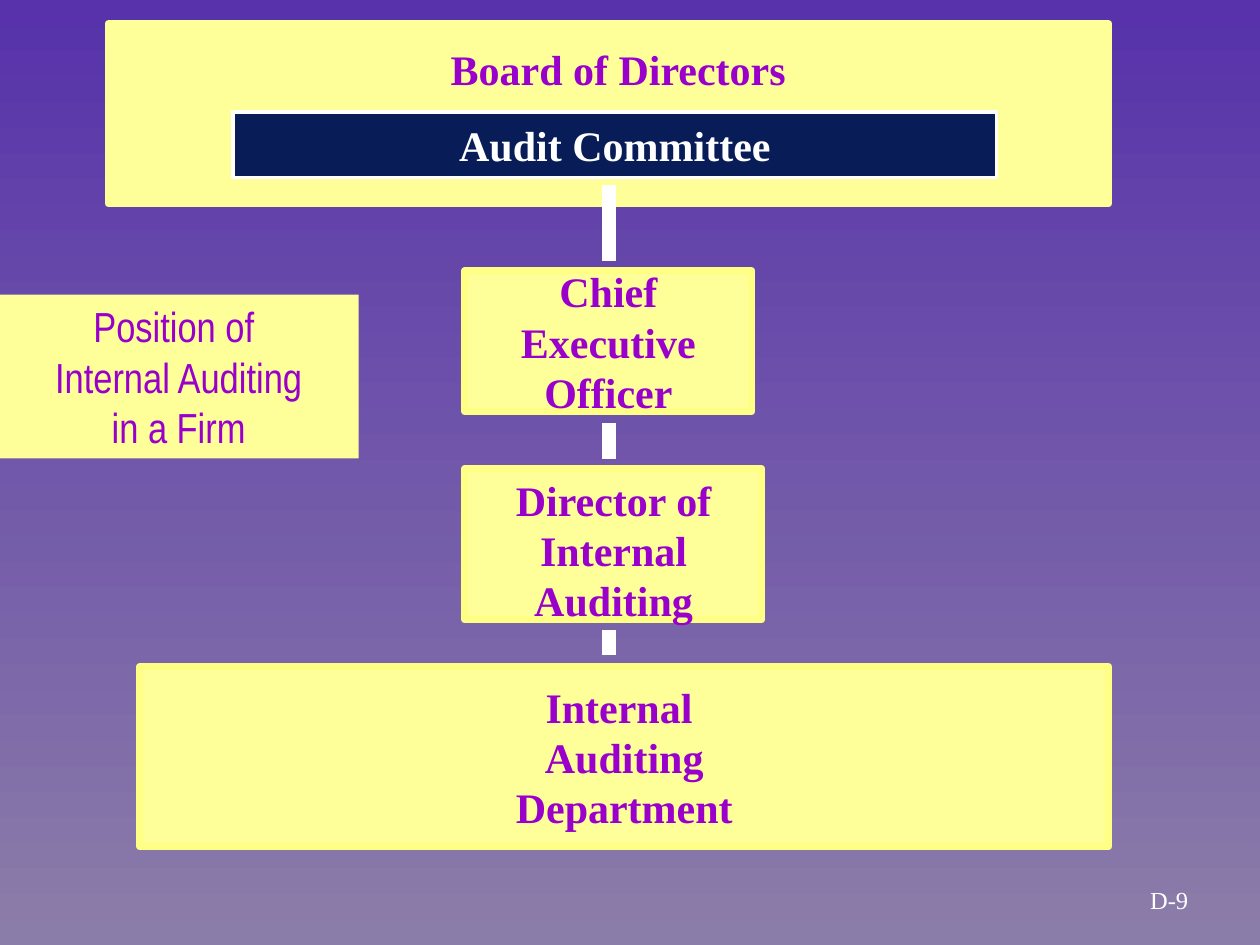
from lxml import etree
from pptx import Presentation
from pptx.dml.color import RGBColor
from pptx.enum.shapes import MSO_CONNECTOR, MSO_SHAPE
from pptx.enum.text import MSO_ANCHOR, MSO_AUTO_SIZE, PP_ALIGN
from pptx.oxml.ns import qn
from pptx.util import Cm, Pt

RECTANGLE = MSO_SHAPE.RECTANGLE
STRAIGHT = MSO_CONNECTOR.STRAIGHT
MIDDLE = MSO_ANCHOR.MIDDLE
CENTER = PP_ALIGN.CENTER
NO_AUTOFIT = MSO_AUTO_SIZE.NONE

YELLOW = "FFFF99"
EDGE = "FFFF85"
PURPLE = "9900CC"
WHITE = "FFFFFF"
NAVY = "081D58"
SERIF = "Times New Roman"
CHAIN_X = 12.27


def color(hex_value):
    return RGBColor.from_string(hex_value)


def set_background(s, top, bottom):
    fill = s.background.fill
    fill.gradient()
    fill.gradient_angle = 270
    for stop, position, shade in zip(fill.gradient_stops, (0, 1), (top, bottom)):
        stop.position = position
        stop.color.rgb = color(shade)


def write(sp, lines, shade=PURPLE, size=24, font=SERIF, bold=True):
    tf = sp.text_frame
    tf.auto_size = NO_AUTOFIT
    tf.word_wrap = False
    tf.vertical_anchor = MIDDLE
    for i, line in enumerate(lines):
        p = tf.add_paragraph() if i else tf.paragraphs[0]
        p.alignment = CENTER
        r = p.add_run()
        r.text = line
        r.font.name = font
        r.font.size = Pt(size)
        r.font.bold = bold
        r.font.color.rgb = color(shade)


def add_title(s, box, lines):
    sp = s.shapes.title
    sp.left, sp.top, sp.width, sp.height = map(Cm, box)
    sp.fill.solid()
    sp.fill.fore_color.rgb = color(YELLOW)
    write(sp, lines, font="Arial Narrow", bold=False)


def add_box(s, box, lines=(), fill=YELLOW, edge=EDGE, width=4, shade=PURPLE):
    sp = s.shapes.add_shape(RECTANGLE, *map(Cm, box))
    sp.shadow.inherit = False
    sp.fill.solid()
    sp.fill.fore_color.rgb = color(fill)
    sp.line.color.rgb = color(edge)
    sp.line.width = Pt(width)
    write(sp, lines, shade)


def add_label(s, box, lines, **style):
    write(s.shapes.add_textbox(*map(Cm, box)), lines, **style)


def add_link(s, top, bottom):
    line = s.shapes.add_connector(STRAIGHT, Cm(CHAIN_X), Cm(top), Cm(CHAIN_X), Cm(bottom))
    line.line.color.rgb = color(WHITE)
    line.line.width = Pt(8)
    etree.SubElement(line._element.spPr, qn("a:effectLst"))


def main():
    prs = Presentation()
    prs.slide_width, prs.slide_height = Cm(25.4), Cm(19.05)
    s = prs.slides.add_slide(prs.slide_layouts[5])
    set_background(s, "5732AA", "8B7DA9")
    add_title(s, (-0.03, 5.94, 7.26, 3.3), ["Position of ", "Internal Auditing", "in a Firm"])

    add_box(s, (2.18, 0.48, 20.17, 3.63), edge=YELLOW)
    add_label(s, (8.84, 0.76, 7.25, 1.27), ["Board of Directors"])
    add_box(s, (4.7, 2.26, 15.39, 1.32), ["Audit Committee"], NAVY, WHITE, 2, WHITE)
    add_box(s, (9.37, 5.46, 5.79, 2.84), ["Chief", "Executive", "Officer"])
    add_box(s, (9.37, 9.45, 5.99, 3.05))
    add_label(s, (9.73, 9.58, 5.28, 3), ["Director of", "Internal", "Auditing"])
    add_box(s, (2.82, 13.44, 19.53, 3.63), ["Internal ", "Auditing", "Department"])

    for top, bottom in ((3.73, 5.26), (8.53, 9.25), (12.7, 13.21)):
        add_link(s, top, bottom)
    add_label(s, (22.02, 17.7, 3.1, 0.86), ["D-9"], shade=WHITE, size=14, bold=False)
    prs.save("out.pptx")


if __name__ == "__main__":
    main()
